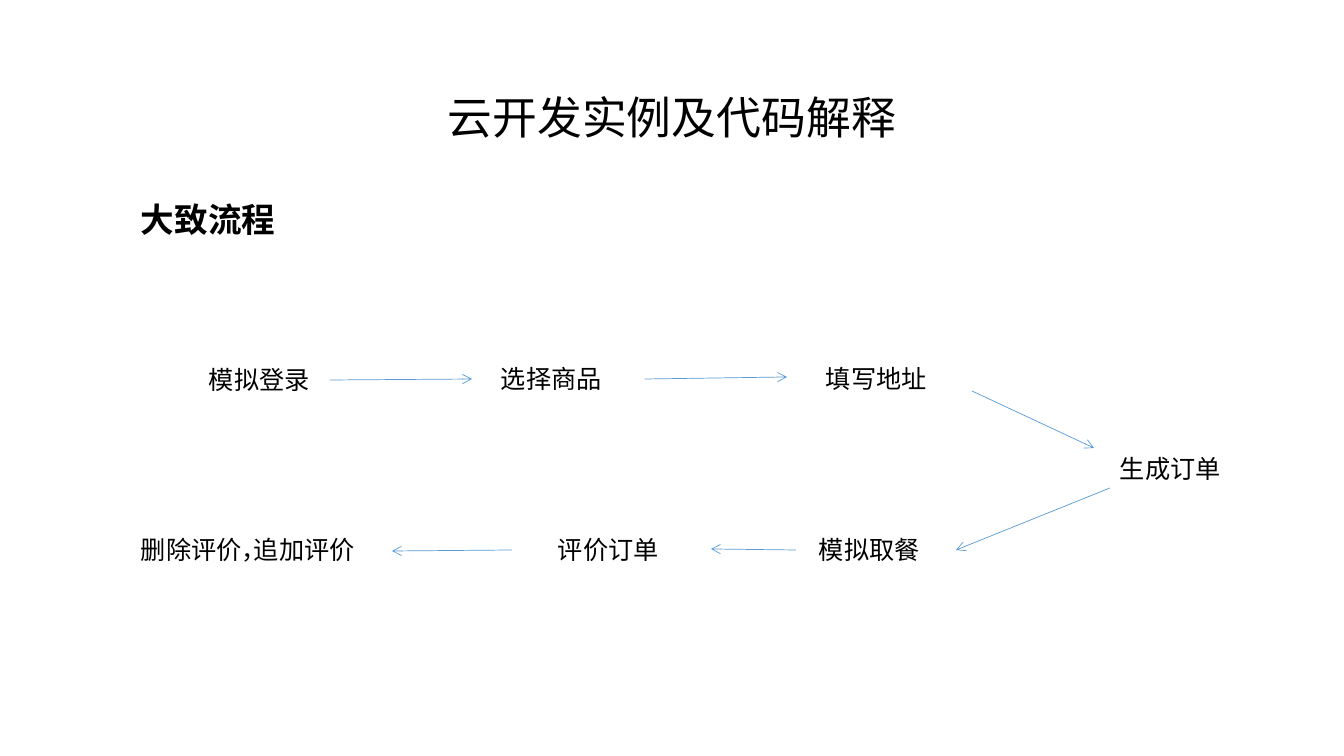
"""Build the ordering process slide."""
from lxml.etree import SubElement
from pptx import Presentation
from pptx.dml.color import RGBColor
from pptx.enum.shapes import MSO_CONNECTOR as CONN
from pptx.enum.text import MSO_ANCHOR as ANCHOR, PP_ALIGN as ALIGN
from pptx.oxml.ns import qn
from pptx.util import Emu, Pt

W, H = 1344, 756
SCALE = 914400 / 100.8
FONT, BLACK, BLUE = "Calibri", "000000", "5B9BD5"

TITLE = ("云开发实例及代码解释", 168, 65, 1008, 84)
SUBTITLE = ("大致流程", 131, 199, 417, 68)
STEP_H = 40
STEPS = [
    ("模拟登录", 199, 359, 141),
    ("选择商品", 491, 358, 136),
    ("填写地址", 816, 358, 140),
    ("生成订单", 1110, 448, 157),
    ("模拟取餐", 809, 529, 136),
    ("评价订单", 548, 529, 129),
    ("删除评价，", 131, 529, 150),
    ("追加评价", 244, 529, 132),
]
ARROWS = [
    (330, 380, 472, 379),
    (645, 379, 787, 377),
    (972, 391, 1094, 448),
    (1110, 488, 956, 550),
    (796, 550, 711, 549),
    (512, 550, 392, 551),
]


def px(n):
    return Emu(round(n * SCALE))


def rgb(code):
    return RGBColor.from_string(code)


def add_text(s, text, x, y, w, h, size=18, bold=False, anchor=ANCHOR.TOP, **para):
    tf = s.shapes.add_textbox(*map(px, (x, y, w, h))).text_frame
    tf.word_wrap = True
    tf.vertical_anchor = anchor
    p = tf.paragraphs[0]
    for name, value in para.items():
        setattr(p, name, value)
    r = p.add_run()
    r.text = text
    for name, value in {"name": FONT, "size": Pt(size), "bold": bold}.items():
        setattr(r.font, name, value)
    r.font.color.rgb = rgb(BLACK)


def add_arrow(s, ends):
    c = s.shapes.add_connector(CONN.STRAIGHT, *map(px, ends))
    c.line.color.rgb = rgb(BLUE)
    c.line.width = Pt(0.5)
    SubElement(c.line._get_or_add_ln(), qn("a:tailEnd"), type="arrow")
    SubElement(c._element.spPr, qn("a:effectLst"))


def main():
    prs = Presentation()
    prs.slide_width, prs.slide_height = px(W), px(H)
    s = prs.slides.add_slide(prs.slide_layouts[6])
    add_text(s, *TITLE, size=32, anchor=ANCHOR.BOTTOM,
             alignment=ALIGN.CENTER, line_spacing=0.9)
    add_text(s, *SUBTITLE, size=24, bold=True, line_spacing=0.9)
    for step in STEPS:
        add_text(s, *step, STEP_H)
    for ends in ARROWS:
        add_arrow(s, ends)
    prs.save("out.pptx")


if __name__ == "__main__":
    main()
